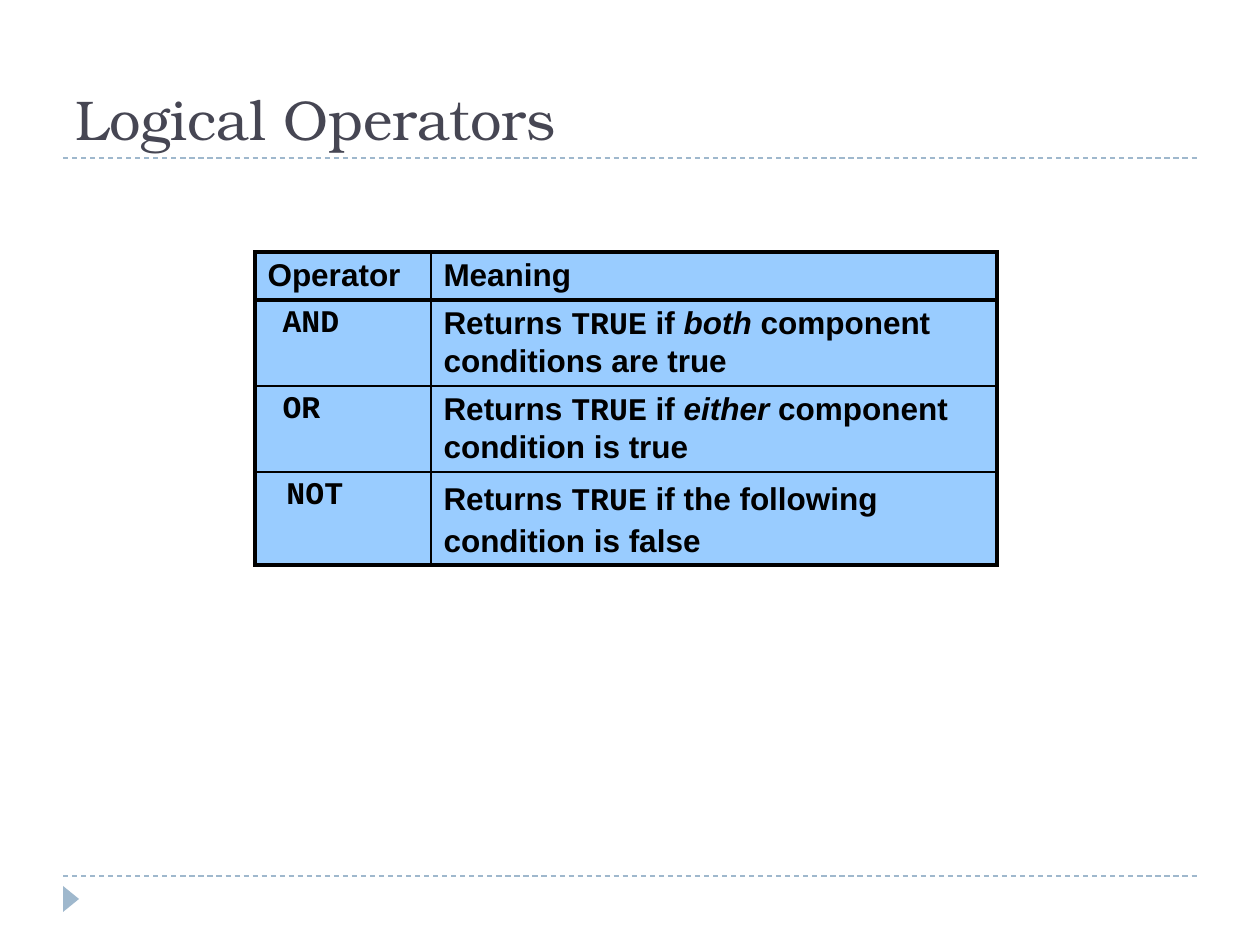
"""Build the Logical Operators slide with its table of operators and meanings."""
from dataclasses import dataclass

from lxml import etree
from pptx import Presentation
from pptx import util as u
from pptx.dml.color import RGBColor
from pptx.enum import dml, shapes, text
from pptx.oxml.ns import qn

EMU_PER_PX = 914400 / 126
INK = RGBColor(0x00, 0x00, 0x00)
TITLE_COLOR = RGBColor(0x46, 0x46, 0x53)
ACCENT = RGBColor(0x9F, 0xB8, 0xCD)
CELL_FILL = RGBColor(0x99, 0xCC, 0xFF)
SANS, MONO, SERIF = "Arial", "Courier New", "TeX Gyre Bonum"
THICK, THIN = 2.25, 1


@dataclass(frozen=True)
class Run:
    text: str
    font: str = SANS
    italic: bool = False


@dataclass(frozen=True)
class Row:
    height: int
    operator: Run
    meaning: tuple[Run, ...]
    indent: int = 0
    line_spacing: float | None = None


RETURNS_TRUE = (Run("Returns "), Run("TRUE", MONO))
ROWS = (
    Row(48, Run("Operator"), (Run("Meaning"),)),
    Row(86, Run("AND", MONO), (*RETURNS_TRUE, Run(" if "), Run("both ", italic=True),
                               Run("component conditions are true")), indent=15),
    Row(86, Run("OR", MONO), (*RETURNS_TRUE, Run(" if "), Run("either ", italic=True),
                              Run("component condition is true")), indent=15),
    Row(93, Run(" NOT", MONO), (*RETURNS_TRUE, Run(" if the following condition is false")),
        line_spacing=1.1),
)
COLUMN_WIDTHS = (176, 566)


def px(length: int) -> u.Emu:
    return u.Emu(round(length * EMU_PER_PX))


def box(*lengths: int) -> list[u.Emu]:
    return [px(length) for length in lengths]


def add_title(slide, wording: str) -> None:
    title = slide.shapes.title
    title.left, title.top, title.width, title.height = box(63, 32, 1134, 126)
    frame = title.text_frame
    frame.word_wrap = True
    frame.auto_size = text.MSO_AUTO_SIZE.NONE
    frame.vertical_anchor = text.MSO_ANCHOR.BOTTOM
    paragraph = frame.paragraphs[0]
    paragraph.alignment = text.PP_ALIGN.LEFT
    run = paragraph.add_run()
    run.text = wording
    run.font.name, run.font.size = SERIF, u.Pt(32)
    run.font.color.rgb = TITLE_COLOR


def add_rule(slide, y: int) -> None:
    rule = slide.shapes.add_connector(shapes.MSO_CONNECTOR.STRAIGHT, *box(63, y, 1197, y))
    rule.line.color.rgb = ACCENT
    rule.line.width = u.Pt(0.75)
    rule.line.dash_style = dml.MSO_LINE.DASH
    etree.SubElement(rule._element.spPr, qn("a:effectLst"))


def add_marker(slide) -> None:
    marker = slide.shapes.add_shape(shapes.MSO_SHAPE.ISOSCELES_TRIANGLE, *box(58, 891, 26, 16))
    marker.rotation = 90
    marker.shadow.inherit = False
    marker.fill.solid()
    marker.fill.fore_color.rgb = ACCENT
    marker.line.fill.background()


def set_borders(cell, widths: dict[str, float]) -> None:
    properties = cell._tc.get_or_add_tcPr()
    for index, (side, width) in enumerate(widths.items()):
        line = etree.Element(qn(f"a:ln{side}"), w=str(u.Pt(width)))
        fill = etree.SubElement(line, qn("a:solidFill"))
        etree.SubElement(fill, qn("a:srgbClr"), val=str(INK))
        properties.insert(index, line)


def fill_cell(cell, runs: tuple[Run, ...], indent: int, line_spacing: float | None) -> None:
    cell.fill.solid()
    cell.fill.fore_color.rgb = CELL_FILL
    paragraph = cell.text_frame.paragraphs[0]
    paragraph.line_spacing = line_spacing
    if indent:
        paragraph.level = 1
        properties = paragraph._p.get_or_add_pPr()
        properties.set("marL", str(px(indent)))
        properties.set("indent", "0")
    for item in runs:
        run = paragraph.add_run()
        run.text = item.text
        run.font.name, run.font.size = item.font, u.Pt(18)
        run.font.bold, run.font.italic = True, item.italic
        run.font.color.rgb = INK


def add_operator_table(slide, rows: tuple[Row, ...]) -> None:
    frame = slide.shapes.add_table(
        len(rows), len(COLUMN_WIDTHS),
        *box(255, 252, sum(COLUMN_WIDTHS), sum(row.height for row in rows)))
    table = frame.table
    table.first_row = table.horz_banding = False
    for column, width in zip(table.columns, COLUMN_WIDTHS):
        column.width = px(width)
    for index, row in enumerate(rows):
        table.rows[index].height = px(row.height)
        top = THICK if index <= 1 else THIN
        bottom = THICK if index in (0, len(rows) - 1) else THIN
        operator, meaning = table.cell(index, 0), table.cell(index, 1)
        fill_cell(operator, (row.operator,), row.indent, None)
        fill_cell(meaning, row.meaning, 0, row.line_spacing)
        set_borders(operator, {"L": THICK, "R": THIN, "T": top, "B": bottom})
        set_borders(meaning, {"L": THIN, "R": THICK, "T": top, "B": bottom})


def main() -> None:
    presentation = Presentation()
    presentation.slide_width, presentation.slide_height = box(1260, 945)
    slide = presentation.slides.add_slide(presentation.slide_layouts[5])
    for y in (876, 158):
        add_rule(slide, y)
    add_marker(slide)
    add_title(slide, "Logical Operators")
    add_operator_table(slide, ROWS)
    presentation.save("out.pptx")


if __name__ == "__main__":
    main()
